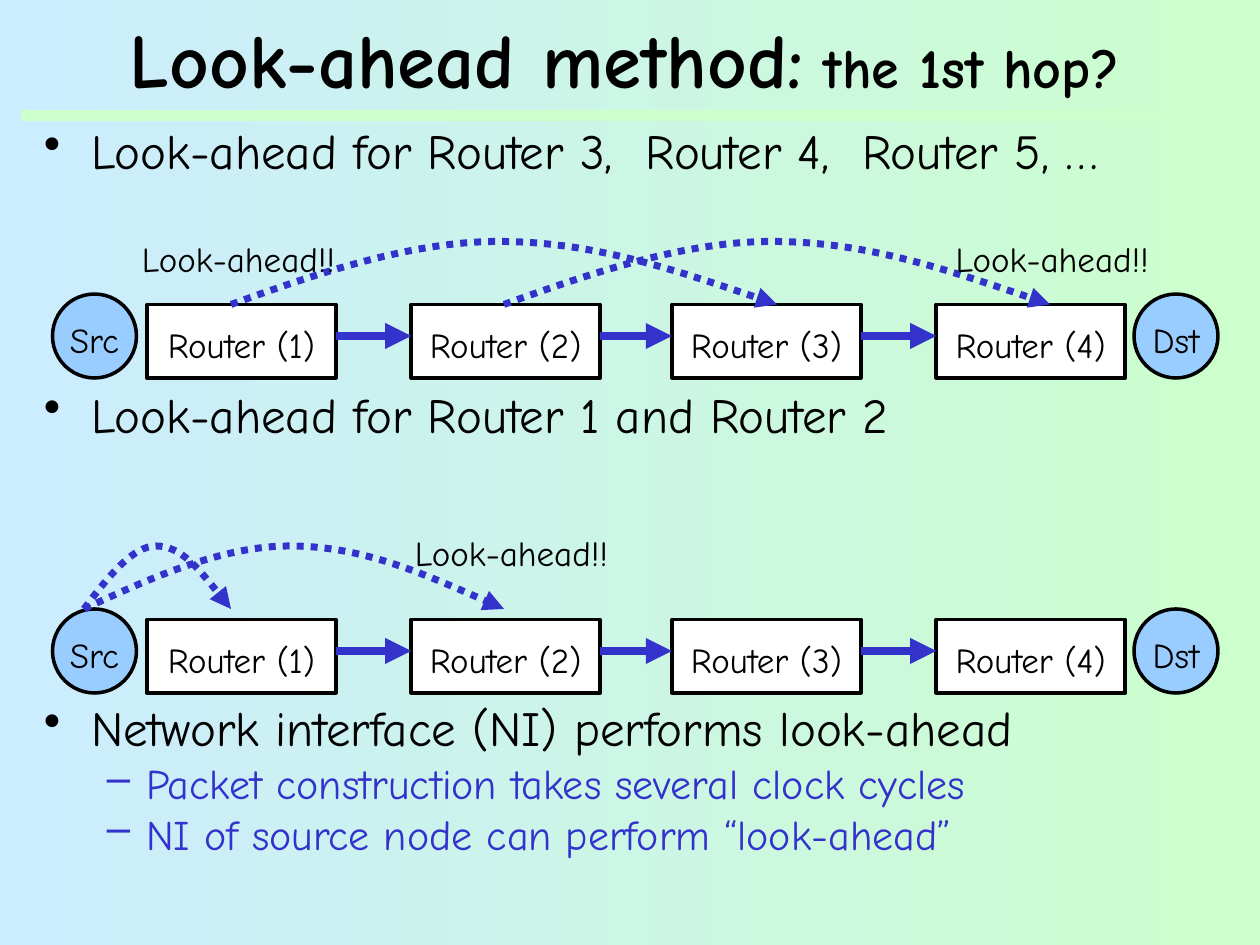
from dataclasses import dataclass

from lxml import etree
from pptx import Presentation
from pptx.dml.color import RGBColor
from pptx.enum import dml, shapes, text
from pptx.oxml.ns import qn
from pptx.util import Pt


@dataclass(frozen=True)
class Theme:
    font: str = "Comic Neue"
    ink: str = "000000"
    accent: str = "3333CC"
    paper: str = "FFFFFF"
    node: str = "99CCFF"
    green: str = "CCFFCC"
    blue: str = "CCECFF"
    title: float = 44
    subtitle: float = 32
    bullet: float = 28
    dash: float = 24
    label: float = 20


class SlideWriter:
    def __init__(self, page, theme):
        self.page = page
        self.theme = theme

    def background(self):
        fill = self.page.background.fill
        fill.gradient()
        fill.gradient_angle = 180
        for stop, color in zip(fill.gradient_stops, (self.theme.green, self.theme.blue)):
            stop.color.rgb = RGBColor.from_string(color)

    def font(self, para, size, color=None, bold=False):
        para.font.name = self.theme.font
        para.font.size = Pt(size)
        para.font.bold = bold
        para.font.color.rgb = RGBColor.from_string(color or self.theme.ink)

    def text_box(self, left, top, width, height, wrap=True):
        box = self.page.shapes.add_textbox(Pt(left), Pt(top), Pt(width), Pt(height))
        box.text_frame.word_wrap = wrap
        return box.text_frame

    def title(self, main, rest):
        frame = self.text_box(12, 6, 690, 54)
        frame.vertical_anchor = text.MSO_ANCHOR.MIDDLE
        para = frame.paragraphs[0]
        para.alignment = text.PP_ALIGN.CENTER
        self.font(para, self.theme.title, bold=True)
        for words, size in ((main, self.theme.title), (rest, self.theme.subtitle)):
            span = para.add_run()
            span.text = words
            span.font.size = Pt(size)

    def bullets(self, items):
        """Write (level, space before, words) items into the body."""
        styles = (("•", 27, 27, self.theme.bullet, self.theme.ink),
                  ("–", 58.5, 22.5, self.theme.dash, self.theme.accent))
        frame = self.text_box(18, 72, 684, 468)
        for index, (level, space, words) in enumerate(items):
            mark, margin, hang, size, color = styles[level]
            para = frame.add_paragraph() if index else frame.paragraphs[0]
            para.text = words
            para.level = level
            props = para._p.get_or_add_pPr()
            props.set("marL", str(Pt(margin)))
            props.set("indent", str(-Pt(hang)))
            tint = etree.SubElement(props, qn("a:buClr"))
            etree.SubElement(tint, qn("a:srgbClr"), val=color)
            etree.SubElement(props, qn("a:buChar"), char=mark)
            para.line_spacing = 0.8
            para.space_before = Pt(space)
            self.font(para, size, color)

    def label(self, left, top, words):
        para = self.text_box(left, top, 125, 32, wrap=False).paragraphs[0]
        para.text = words
        self.font(para, self.theme.label)

    def node(self, kind, left, top, width, height, fill, words):
        box = self.page.shapes.add_shape(kind, Pt(left), Pt(top), Pt(width), Pt(height))
        box.shadow.inherit = False
        box.fill.solid()
        box.fill.fore_color.rgb = RGBColor.from_string(fill)
        self.stroke(box.line, self.theme.ink, 2)
        frame = box.text_frame
        frame.word_wrap = False
        frame.vertical_anchor = text.MSO_ANCHOR.MIDDLE
        frame.margin_left = frame.margin_right = frame.margin_bottom = 0
        frame.margin_top = Pt(4)
        para = frame.paragraphs[0]
        para.text = words
        para.alignment = text.PP_ALIGN.CENTER
        self.font(para, self.theme.label)

    def stroke(self, line, color, width, arrow=False):
        line.color.rgb = RGBColor.from_string(color)
        line.width = Pt(width)
        if arrow:
            etree.SubElement(line._get_or_add_ln(), qn("a:tailEnd"), type="triangle")

    def rule(self, left, right, height, color, width, arrow=False):
        """Draw a horizontal line at the given height."""
        line = self.page.shapes.add_connector(
            shapes.MSO_CONNECTOR.STRAIGHT, Pt(left), Pt(height), Pt(right), Pt(height))
        self.stroke(line.line, color, width, arrow)
        etree.SubElement(line._element.spPr, qn("a:effectLst"))

    def arc(self, start, end, base, rise=36):
        """Draw a dotted arrow that bows upward from start to end."""
        profile = ((0.16, 0.5), (0.33, 1), (0.49, 1), (0.66, 1), (0.83, 0.5), (1, 0))
        points = [(Pt(start + (end - start) * along), Pt(base - rise * up))
                  for along, up in profile]
        builder = self.page.shapes.build_freeform(Pt(start), Pt(base))
        builder.add_line_segments(points, close=False)
        curve = builder.convert_to_shape()
        # Each three straight segments become one cubic Bézier segment.
        steps = list(curve._element.iter(qn("a:lnTo")))
        outline = steps[0].getparent()
        for first in range(0, len(steps), 3):
            bend = etree.SubElement(outline, qn("a:cubicBezTo"))
            for step in steps[first:first + 3]:
                bend.append(step[0])
                outline.remove(step)
        curve.shadow.inherit = False
        curve.fill.background()
        curve.line.dash_style = dml.MSO_LINE.ROUND_DOT
        self.stroke(curve.line, self.theme.accent, 4, arrow=True)

    def network(self, top):
        """Draw the row of routers between source and destination."""
        routers = (84, 235, 384, 535)
        width = 108
        for number, left in enumerate(routers, 1):
            self.node(shapes.MSO_SHAPE.RECTANGLE, left, top, width, 42,
                      self.theme.paper, f"Router ({number})")
        for left, following in zip(routers, routers[1:]):
            self.rule(left + width, following, top + 18, self.theme.accent, 5, arrow=True)
        for left, words in ((30, "Src"), (648, "Dst")):
            self.node(shapes.MSO_SHAPE.OVAL, left, top - 6, 48, 48, self.theme.node, words)


def main():
    deck = Presentation()
    deck.slide_width, deck.slide_height = Pt(720), Pt(540)
    theme = Theme()
    writer = SlideWriter(deck.slides.add_slide(deck.slide_layouts[6]), theme)
    writer.background()
    writer.rule(12, 714, 66, theme.green, 6)
    writer.title("Look-ahead method:", " the 1st hop?")
    # The wide spaces leave room for the two network rows.
    writer.bullets([
        (0, 7, "Look-ahead for Router 3,  Router 4,  Router 5, …"),
        (0, 123.5, "Look-ahead for Router 1 and Router 2"),
        (0, 152.5, "Network interface (NI) performs look-ahead"),
        (1, 6, "Packet construction takes several clock cycles"),
        (1, 6, "NI of source node can perform “look-ahead”"),
    ])
    for top in (174, 354):
        writer.network(top)
    for start, end, base in ((132, 444, 174), (288, 600, 174),
                             (48, 132, 348), (48, 288, 348)):
        writer.arc(start, end, base)
    for left, top in ((74, 132), (539, 132), (230, 300)):
        writer.label(left, top, "Look-ahead!!")
    deck.save("out.pptx")


if __name__ == "__main__":
    main()
